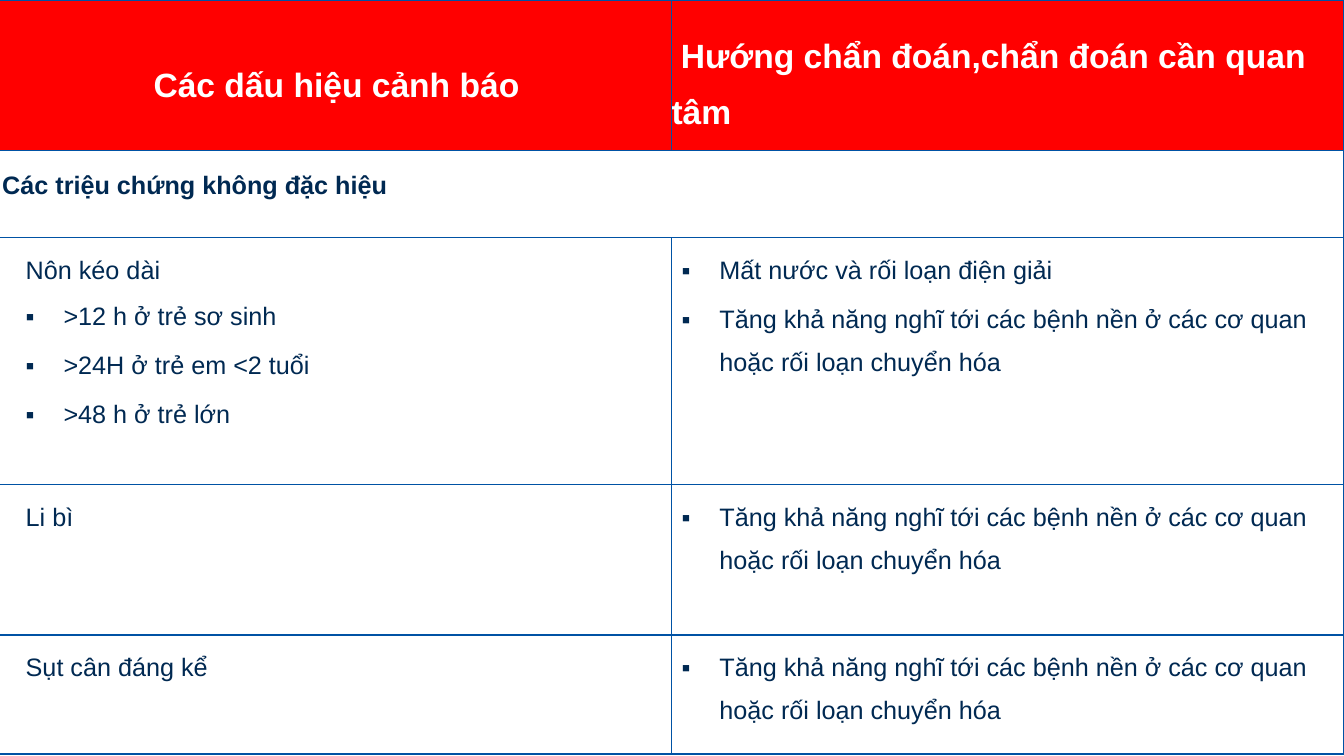
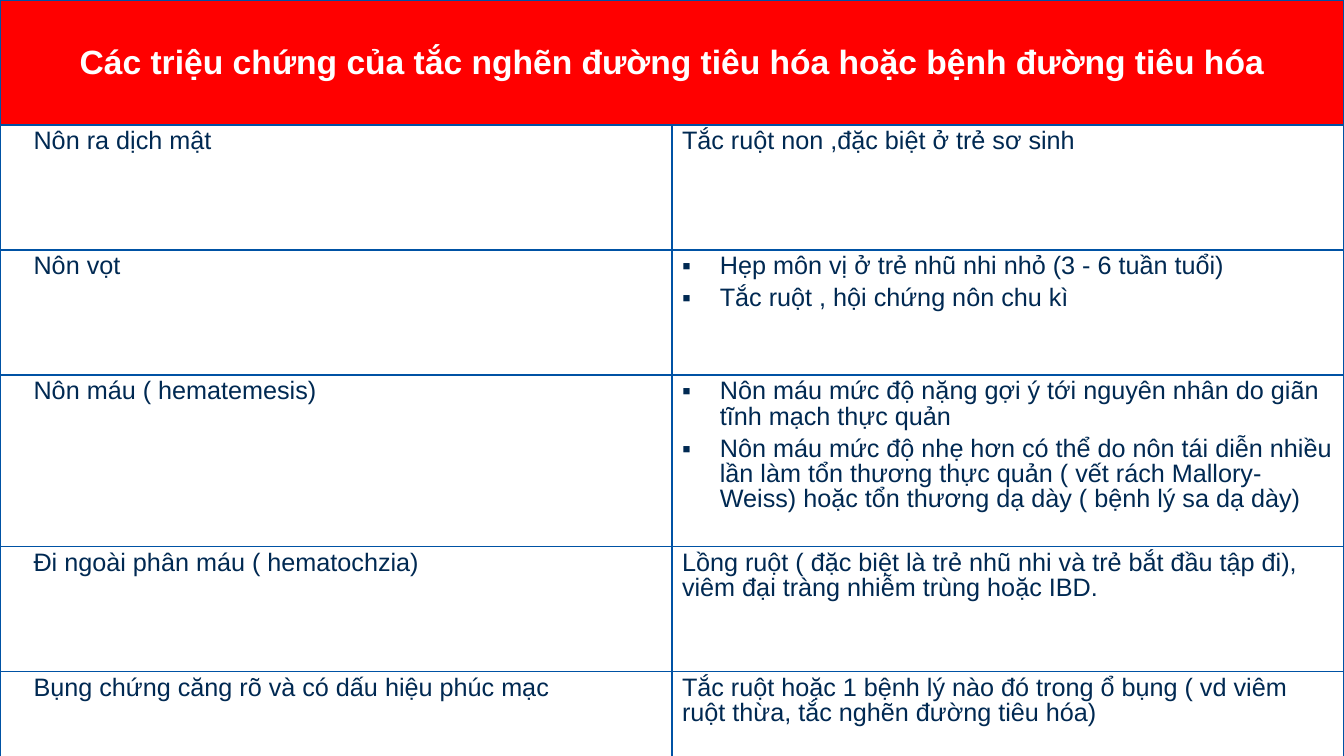
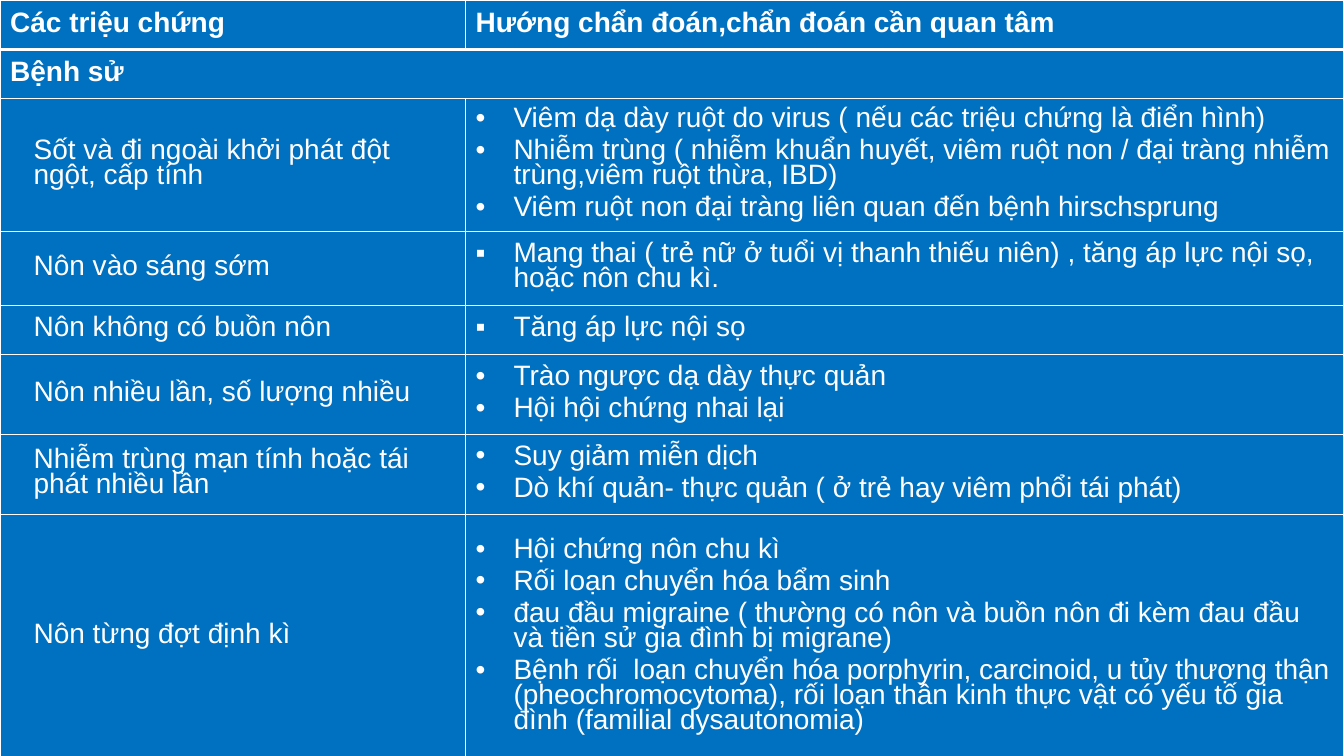
from lxml import etree
from pptx import Presentation
from pptx.dml.color import RGBColor
from pptx.enum.text import MSO_ANCHOR, PP_ALIGN
from pptx.oxml.ns import qn
from pptx.util import Pt

TOP, MID = MSO_ANCHOR.TOP, MSO_ANCHOR.MIDDLE
LEFT, CENTER = PP_ALIGN.LEFT, PP_ALIGN.CENTER
WIDE, HIGH = 960, 540
FONT = "Arial"
INK = {"white": "FFFFFF", "red": "FF0000", "navy": "002952", "line": "0052A4", "blue": "0070C0"}
PAD = (7.2, 3.6, 7.2, 3.6)
INSET = (24, 3.6, 7.2, 3.6)
HEAD = (7.2, 5.8, 7.2, 3.6)
PART = (7.2, 5, 7.2, 3.6)


def write(frame, text, first=False, size=18, color="navy", bold=False, align=LEFT,
          lead=Pt(18), after=None, mark=None):
    para = frame.paragraphs[0] if first else frame.add_paragraph()
    para.alignment = align
    para.line_spacing = lead
    if after is not None:
        para.space_after = Pt(after)
    if mark:
        para.space_before = para.space_after = Pt(2.4)
        props = para._p.get_or_add_pPr()
        props.set("marL", str(Pt(27)))
        props.set("indent", str(Pt(-27)))
        etree.SubElement(props, qn("a:buFont")).set("typeface", FONT)
        etree.SubElement(props, qn("a:buChar")).set("char", mark)
    run = para.add_run()
    run.text = text
    font = run.font
    font.name, font.size, font.bold = FONT, Pt(size), bold
    font.color.rgb = RGBColor.from_string(INK[color])


def border(cell, color, base):
    props = cell._tc.get_or_add_tcPr()
    for spot, side in enumerate("LRTB"):
        line = etree.Element(qn("a:ln" + side))
        line.set("w", str(Pt(base if side == "B" else 1)))
        fill = etree.SubElement(line, qn("a:solidFill"))
        etree.SubElement(fill, qn("a:srgbClr")).set("val", INK[color])
        props.insert(spot, line)


def note(*items, pad=PAD, fill=None, anchor=None, **fmt):
    return {"items": items, "pad": pad, "fill": fill, "anchor": anchor, "fmt": fmt}


def listed(mark, *texts):
    return [(text, mark) for text in texts]


def square(*texts):
    return note(*listed("▪", *texts))


def dots(*texts):
    return note(*listed("•", *texts))


def side(*items):
    return note(*items, pad=INSET)


def put(cell, data, fill, anchor, fmt):
    cell.fill.solid()
    cell.fill.fore_color.rgb = RGBColor.from_string(INK[data["fill"] or fill])
    cell.vertical_anchor = data["anchor"] or anchor
    pads = [Pt(pad) for pad in data["pad"]]
    cell.margin_left, cell.margin_top, cell.margin_right, cell.margin_bottom = pads
    for spot, item in enumerate(data["items"]):
        text, mark = (item, None) if isinstance(item, str) else item
        write(cell.text_frame, text, first=spot == 0, mark=mark, **{**fmt, **data["fmt"]})


def sheet(slide, box, cols, rows, cells, fill="white", anchor=TOP, line="line", base=1, **fmt):
    frame = slide.shapes.add_table(len(rows), len(cols), *[Pt(part) for part in box])
    table = frame.table
    table.first_row = table.horz_banding = False
    for col, width in zip(table.columns, cols):
        col.width = Pt(width)
    for row, height in zip(table.rows, rows):
        row.height = Pt(height)
    for r, pair in enumerate(cells):
        if len(pair) == 1:
            table.cell(r, 0).merge(table.cell(r, 1))
        for c, data in enumerate(pair):
            put(table.cell(r, c), data, fill, anchor, fmt)
        for c in range(len(cols)):
            border(table.cell(r, c), line, base if r == 0 else 1)


def alarm(slide):
    base = "Tăng khả năng nghĩ tới các bệnh nền ở các cơ quan hoặc rối loạn chuyển hóa"
    top = {"fill": "red", "anchor": MID, "size": 24, "color": "white", "bold": True}
    rows = [107.3, 62.6, 176.4, 107.3, 85]
    cells = [
        [note(" Các dấu hiệu cảnh báo", pad=HEAD, align=CENTER, **top),
         note(" Hướng chẩn đoán,chẩn đoán cần quan tâm", pad=(0, 0, 0, 0), after=8, **top)],
        [note("Các triệu chứng không đặc hiệu", pad=PART, bold=True)],
        [side("Nôn kéo dài", *listed("▪", ">12 h ở trẻ sơ sinh", ">24H ở trẻ em <2 tuổi",
                                     ">48 h ở trẻ lớn")),
         square("Mất nước và rối loạn điện giải", base)],
        [side("Li bì"), square(base)],
        [side("Sụt cân đáng kể"), square(base)],
    ]
    sheet(slide, (-5.6, 0, 965.6, sum(rows)), [485.3, 480.3], rows, cells, lead=1.5)


def block(slide):
    rows = [89.3, 89.3, 89.3, 122.4, 89.3, 89.3]
    cells = [
        [note("Các triệu chứng của tắc nghẽn đường tiêu hóa hoặc bệnh đường tiêu hóa",
              fill="red", anchor=MID, size=24, color="white", bold=True, align=CENTER, lead=1.0)],
        [side("Nôn ra dịch mật"), note("Tắc ruột non ,đặc biệt ở trẻ sơ sinh")],
        [side("Nôn vọt"),
         square("Hẹp môn vị ở trẻ nhũ nhi nhỏ (3 - 6 tuần tuổi)",
                "Tắc ruột , hội chứng nôn chu kì")],
        [side("Nôn máu ( hematemesis)"),
         square("Nôn máu mức độ nặng gợi ý tới nguyên nhân do giãn tĩnh mạch thực quản",
                "Nôn máu mức độ nhẹ hơn có thể do nôn tái diễn nhiều lần làm tổn thương "
                "thực quản ( vết rách Mallory-Weiss) hoặc tổn thương dạ dày "
                "( bệnh lý sa dạ dày)")],
        [side("Đi ngoài phân máu ( hematochzia)"),
         note("Lồng ruột ( đặc biệt là trẻ nhũ nhi và trẻ bắt đầu tập đi), "
              "viêm đại tràng nhiễm trùng hoặc IBD.")],
        [side("Bụng chứng căng rõ và có dấu hiệu phúc mạc"),
         note("Tắc ruột hoặc 1 bệnh lý nào đó trong ổ bụng ( vd viêm ruột thừa, "
              "tắc nghẽn đường tiêu hóa)")],
    ]
    sheet(slide, (0, 0, WIDE, sum(rows)), [WIDE / 2] * 2, rows, cells)


def past(slide):
    rows = [35.3, 35.3, 95, 52.6, 35.3, 56.9, 56.9, 175.7]
    cells = [
        [note("Các triệu chứng", pad=HEAD, bold=True),
         note("Hướng chẩn đoán,chẩn đoán cần quan tâm", pad=HEAD, bold=True)],
        [note("Bệnh sử", pad=PART, bold=True)],
        [side("Sốt và đi ngoài khởi phát đột ngột, cấp tính"),
         dots("Viêm dạ dày ruột do virus ( nếu các triệu chứng là điển hình)",
              "Nhiễm trùng ( nhiễm khuẩn huyết, viêm ruột non / đại tràng nhiễm "
              "trùng,viêm ruột thừa, IBD)",
              "Viêm ruột non đại tràng liên quan đến bệnh hirschsprung")],
        [side("Nôn vào sáng sớm"),
         square("Mang thai ( trẻ nữ ở tuổi vị thanh thiếu niên) , tăng áp lực nội sọ, "
                "hoặc nôn chu kì.")],
        [side("Nôn không có buồn nôn"), square("Tăng áp lực nội sọ")],
        [side("Nôn nhiều lần, số lượng nhiều"),
         dots("Trào ngược dạ dày thực quản", "Hội hội chứng nhai lại")],
        [side("Nhiễm trùng mạn tính hoặc tái phát nhiều lần"),
         dots("Suy giảm miễn dịch", "Dò khí quản- thực quản ( ở trẻ hay viêm phổi tái phát)")],
        [side("Nôn từng đợt định kì"),
         dots("Hội chứng nôn chu kì",
              "Rối loạn chuyển hóa bẩm sinh",
              "đau đầu migraine ( thường có nôn và buồn nôn đi kèm đau đầu và tiền sử "
              "gia đình bị migrane)",
              "Bệnh rối  loạn chuyển hóa porphyrin, carcinoid, u tủy thượng thận "
              "(pheochromocytoma), rối loạn thần kinh thực vật có yếu tố gia đình "
              "(familial dysautonomia)")],
    ]
    sheet(slide, (0, 0, WIDE, sum(rows)), [332.6, 627.4], rows, cells, fill="blue",
          anchor=MID, line="white", base=3, size=20, color="white")


def main():
    deck = Presentation()
    deck.slide_width, deck.slide_height = Pt(WIDE), Pt(HIGH)
    for build in (alarm, block, past):
        build(deck.slides.add_slide(deck.slide_layouts[6]))
    deck.save("out.pptx")


if __name__ == "__main__":
    main()
